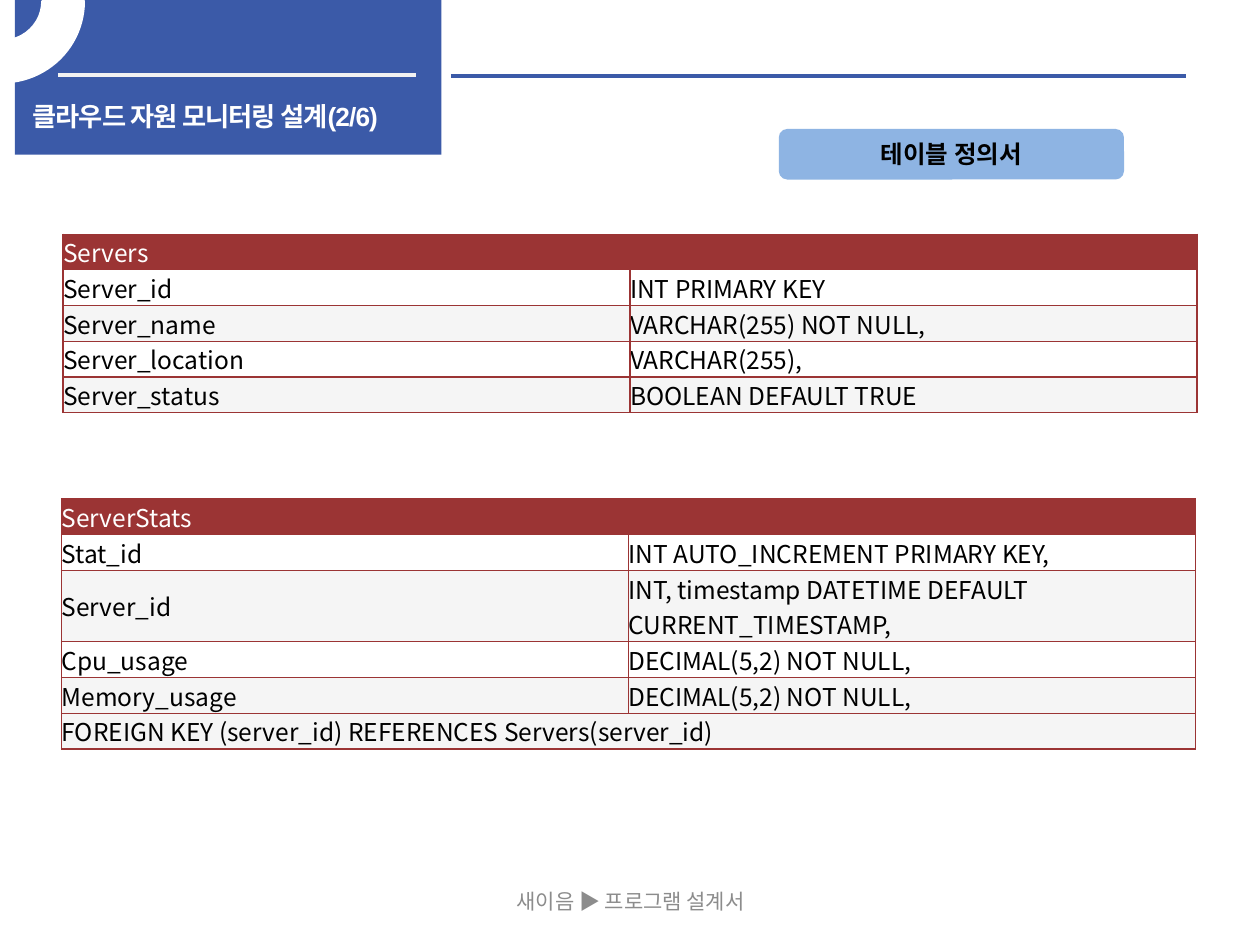
from dataclasses import dataclass

from lxml.etree import SubElement
from pptx import Presentation
from pptx.dml.color import RGBColor
from pptx.enum.shapes import MSO_CONNECTOR as Connector
from pptx.enum.shapes import MSO_SHAPE as Shape
from pptx.enum.text import MSO_ANCHOR as Anchor
from pptx.enum.text import PP_ALIGN as Align
from pptx.oxml import parse_xml
from pptx.oxml.ns import nsdecls, qn
from pptx.util import Cm, Pt

COLORS = {
    "blue": "3B5AA8", "sky": "8EB4E3", "red": "9B3434", "white": "FFFFFF",
    "pale": "F2F2F2", "band": "F5F5F5", "gray": "8C8C8C", "black": "000000",
}
KOREAN_FONT = "Noto Sans CJK KR"
LINE_HEIGHT = 0.72
LINE_CAPACITY = 40
COLUMN_WIDTH = 11.43


@dataclass
class Box:
    left: float
    top: float
    width: float
    height: float

    def lengths(self) -> tuple:
        return Cm(self.left), Cm(self.top), Cm(self.width), Cm(self.height)


@dataclass
class Rule:
    left: float
    right: float
    y: float
    color: str


@dataclass
class Schema:
    """A table definition; a row with a single text spans both columns."""
    left: float
    top: float
    rows: list


RULES = [Rule(1.17, 8.38, 1.51, "pale"), Rule(9.09, 23.9, 1.53, "blue")]

SCHEMAS = [
    Schema(1.27, 4.72, [
        ("Servers",),
        ("Server_id", "INT PRIMARY KEY"),
        ("Server_name", "VARCHAR(255) NOT NULL,"),
        ("Server_location", "VARCHAR(255),"),
        ("Server_status", "BOOLEAN DEFAULT TRUE"),
    ]),
    Schema(1.24, 10.06, [
        ("ServerStats",),
        ("Stat_id", "INT AUTO_INCREMENT PRIMARY KEY,"),
        ("Server_id", "INT, timestamp DATETIME DEFAULT CURRENT_TIMESTAMP,"),
        ("Cpu_usage", "DECIMAL(5,2) NOT NULL,"),
        ("Memory_usage", "DECIMAL(5,2) NOT NULL,"),
        ("FOREIGN KEY (server_id) REFERENCES Servers(server_id)",),
    ]),
]


def rgb(name: str) -> RGBColor:
    return RGBColor.from_string(COLORS[name])


def write(frame, text: str, size: float, color: str, bold=False,
          font=KOREAN_FONT, align=Align.LEFT, anchor=Anchor.MIDDLE):
    frame.text = text
    frame.word_wrap = True
    frame.vertical_anchor = anchor
    para = frame.paragraphs[0]
    para.alignment = align
    span = para.runs[0]
    span.font.size = Pt(size)
    span.font.bold = bold
    span.font.name = font
    span.font.color.rgb = rgb(color)
    SubElement(span.font._element, qn("a:ea")).set("typeface", KOREAN_FONT)
    return span


def add_block(page, kind, box: Box, color: str):
    block = page.shapes.add_shape(kind, *box.lengths())
    block.shadow.inherit = False
    block.fill.solid()
    block.fill.fore_color.rgb = rgb(color)
    block.line.fill.background()
    return block


def add_rule(page, rule: Rule) -> None:
    line = page.shapes.add_connector(
        Connector.STRAIGHT, Cm(rule.left), Cm(rule.y), Cm(rule.right), Cm(rule.y))
    line.line.color.rgb = rgb(rule.color)
    line.line.width = Pt(2.25)
    SubElement(line.element.spPr, qn("a:effectLst"))


def add_ring(page) -> None:
    """Quarter ring that enters from the top left corner."""
    ring = add_block(page, Shape.BLOCK_ARC, Box(-1.6, -1.6, 3.28, 3.25), "white")
    ring.adjustments[0] = 161.59
    ring.adjustments[1] = 0
    ring.adjustments[2] = 0.25
    ring.line.color.rgb = rgb("white")
    ring.line.width = Pt(2)
    ring.element.spPr.find(qn("a:xfrm")).set("flipV", "1")


def set_borders(cell) -> None:
    properties = cell._tc.get_or_add_tcPr()
    for index, side in enumerate(("lnL", "lnR", "lnT", "lnB")):
        properties.insert(index, parse_xml(
            f'<a:{side} {nsdecls("a")} w="{Pt(0.75)}"><a:solidFill>'
            f'<a:srgbClr val="{COLORS["red"]}"/></a:solidFill></a:{side}>'))


def row_fill(index: int, texts: tuple) -> str:
    if index == 0:
        return "red"
    return "band" if index % 2 == 0 or len(texts) == 1 else "white"


def row_height(texts: tuple) -> float:
    """Two lines when a text is too long for its column, otherwise one."""
    wraps = len(texts) == 2 and len(texts[1]) > LINE_CAPACITY
    return LINE_HEIGHT * (2 if wraps else 1)


def add_schema(page, schema: Schema) -> None:
    heights = [row_height(texts) for texts in schema.rows]
    box = Box(schema.left, schema.top, 2 * COLUMN_WIDTH, sum(heights))
    table = page.shapes.add_table(len(heights), 2, *box.lengths()).table
    table.horz_banding = False
    for index, texts in enumerate(schema.rows):
        table.rows[index].height = Cm(heights[index])
        for cell in table.rows[index].cells:
            cell.margin_left = cell.margin_right = 0
            cell.margin_top = cell.margin_bottom = 0
            cell.fill.solid()
            cell.fill.fore_color.rgb = rgb(row_fill(index, texts))
            set_borders(cell)
        if len(texts) == 1:
            table.cell(index, 0).merge(table.cell(index, 1))
        for column, text in enumerate(texts):
            cell = table.cell(index, column)
            write(cell.text_frame, text, 14, "black" if index else "white")
            cell.vertical_anchor = Anchor.MIDDLE


def place_title(page) -> None:
    """Move the title placeholder onto the blue block, in front of it."""
    title = page.shapes.title
    title.left, title.top, title.width, title.height = Box(
        0.4, 1.9, 9.88, 0.82).lengths()
    span = write(title.text_frame, "클라우드 자원 모니터링 설계(2/6)", 15, "white",
                 bold=True, font="Arial", anchor=Anchor.TOP)
    span.font._element.set("spc", "-50")
    title.element.getparent().append(title.element)


def main() -> None:
    deck = Presentation()
    deck.slide_width, deck.slide_height = Cm(25.4), Cm(19.05)
    page = deck.slides.add_slide(deck.slide_layouts[5])

    add_block(page, Shape.RECTANGLE, Box(0.3, 0, 8.6, 3.12), "blue")
    for rule in RULES:
        add_rule(page, rule)
    add_ring(page)

    footer = page.shapes.add_textbox(*Box(8.69, 17.65, 8.05, 1.02).lengths())
    write(footer.text_frame, "새이음 ▶ 프로그램 설계서", 12, "gray", align=Align.CENTER)

    for schema in SCHEMAS:
        add_schema(page, schema)
    place_title(page)

    badge = add_block(page, Shape.ROUNDED_RECTANGLE, Box(15.7, 2.6, 6.96, 1.02), "sky")
    write(badge.text_frame, "테이블 정의서", 14, "black", bold=True, align=Align.CENTER)

    deck.save("out.pptx")


if __name__ == "__main__":
    main()
